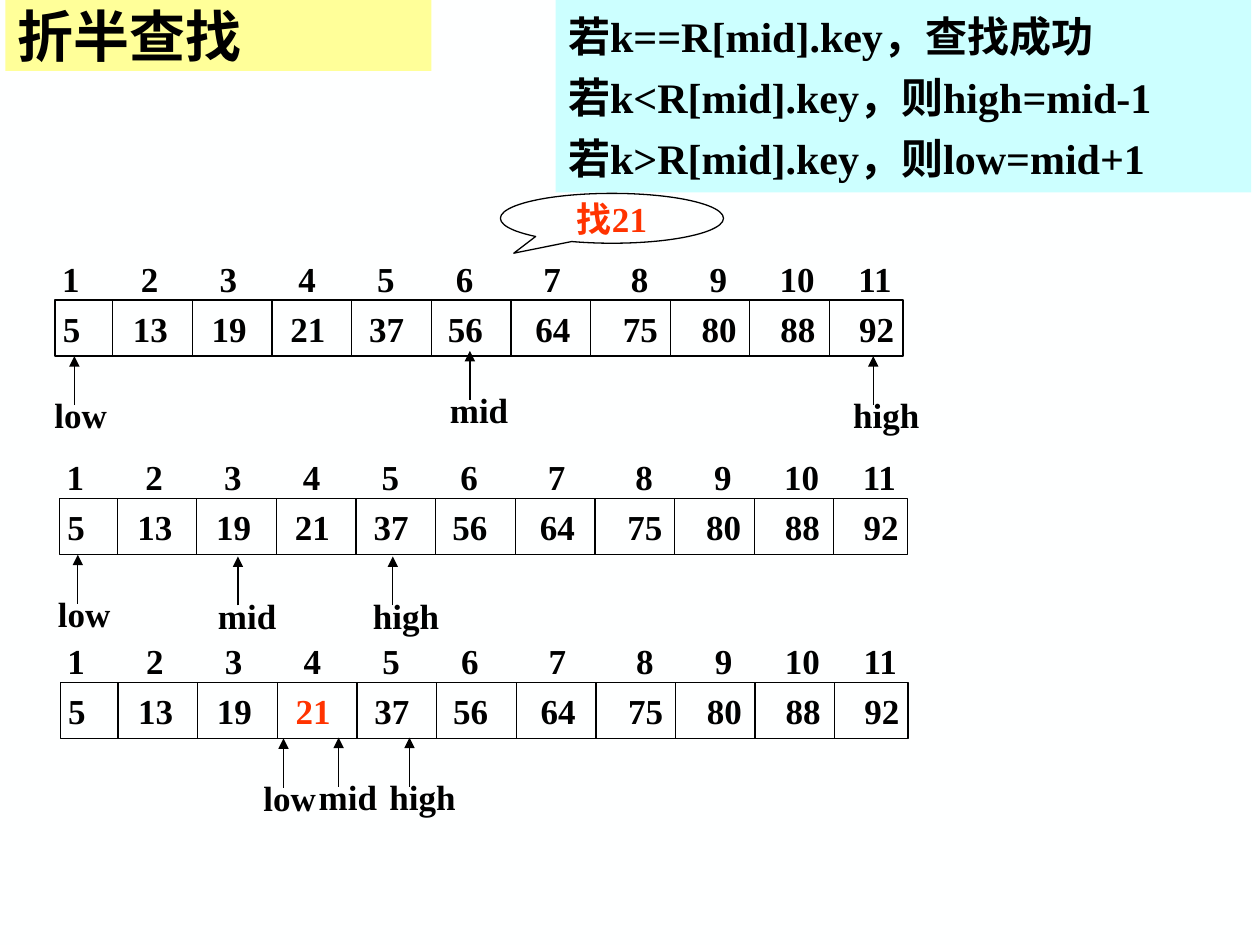
from lxml import etree
from pptx import Presentation
from pptx.dml.color import RGBColor
from pptx.enum import shapes, text
from pptx.oxml import ns
from pptx.util import Pt

BLACK = RGBColor(0x00, 0x00, 0x00)
RED = RGBColor(0xFF, 0x33, 0x00)
YELLOW = RGBColor(0xFF, 0xFF, 0x99)
CYAN = RGBColor(0xCC, 0xFF, 0xFF)
PAPER = RGBColor(0xFE, 0xFF, 0xFF)
LATIN = "Times New Roman"
CHINESE = "Noto Sans CJK SC"

VALUES = [5, 13, 19, 21, 37, 56, 64, 75, 80, 88, 92]
INDEX_TABS = [45, 90, 135, 180, 225, 275, 325, 370, 410, 455]
VALUE_TABS = [40, 85, 130, 175, 220, 270, 320, 365, 410, 455]
ROW_WIDTH, ROW_HEIGHT = 484.5, 32
FIRST_CELL, CELL = 33, 45.5

# Left and top of each row, the value found, and (label, x, drop below the row)
STEPS = [
    (31.5, 171.5, None, [("low", 42.5, 0), ("high", 499, 0), ("mid", 268.5, -3)]),
    (34, 285, None, [("low", 44.5, 0), ("high", 224.5, 1), ("mid", 136, 1)]),
    (34.5, 390, 21, [("low", 162, 0), ("high", 234, -0.5), ("mid", 193.5, -0.5)]),
]


def write(frame, paragraphs, size=20, color=BLACK, font=LATIN, gap=0, tabs=(),
          align=text.PP_ALIGN.LEFT, anchor=text.MSO_ANCHOR.MIDDLE, wrap=False,
          inset=7.2):
    """Fill a frame; each paragraph is a list of strings or (string, colour)."""
    frame.auto_size = text.MSO_AUTO_SIZE.NONE
    frame.word_wrap = wrap
    frame.vertical_anchor = anchor
    frame.margin_left = frame.margin_right = Pt(inset)
    frame.margin_top = frame.margin_bottom = Pt(3.6)
    for number, spans in enumerate(paragraphs):
        para = frame.add_paragraph() if number else frame.paragraphs[0]
        para.alignment = align
        if number:
            para.space_before = Pt(gap)
        if tabs:
            stops = etree.SubElement(para._p.get_or_add_pPr(), ns.qn("a:tabLst"))
            for stop in tabs:
                etree.SubElement(stops, ns.qn("a:tab"), pos=str(Pt(stop)), algn="l")
        for item in spans:
            words, shade = item if isinstance(item, tuple) else (item, color)
            span = para.add_run()
            span.text = words
            span.font.size = Pt(size)
            span.font.bold = True
            span.font.color.rgb = shade
            span.font.name = font
            etree.SubElement(span._r.get_or_add_rPr(), ns.qn("a:ea"), typeface=CHINESE)


def add_label(page, left, top, width, paragraphs, **style):
    box = page.shapes.add_textbox(Pt(left), Pt(top), Pt(width), Pt(ROW_HEIGHT))
    write(box.text_frame, paragraphs, anchor=text.MSO_ANCHOR.TOP, **style)


def add_box(page, kind, left, top, width, height, fill=None):
    """Add a filled box without an outline, or an outlined box without a fill."""
    box = page.shapes.add_shape(kind, Pt(left), Pt(top), Pt(width), Pt(height))
    box.shadow.inherit = False
    if fill is None:
        box.fill.background()
        box.line.color.rgb = BLACK
        box.line.width = Pt(0.75)
    else:
        box.fill.solid()
        box.fill.fore_color.rgb = fill
        box.line.fill.background()
    return box


def add_line(page, x, start, end, arrow=False):
    line = page.shapes.add_connector(
        shapes.MSO_CONNECTOR.STRAIGHT, Pt(x), Pt(start), Pt(x), Pt(end))
    line.line.color.rgb = BLACK
    line.line.width = Pt(0.75)
    if arrow:
        etree.SubElement(line.line._get_or_add_ln(), ns.qn("a:tailEnd"), type="triangle")
    etree.SubElement(line._element.spPr, ns.qn("a:effectLst"))


def tabbed(numbers, found=None):
    """Spans for numbers parted by tabs, with the found one in red."""
    return [(f"\t{number}" if place else str(number),
             RED if number == found else BLACK)
            for place, number in enumerate(numbers)]


def add_array(page, left, top, found):
    add_label(page, left - 3, top - 28, 490,
              [tabbed(range(1, len(VALUES) + 1))], tabs=INDEX_TABS)
    row = add_box(page, shapes.MSO_SHAPE.RECTANGLE, left, top, ROW_WIDTH, ROW_HEIGHT)
    write(row.text_frame, [tabbed(VALUES, found)], tabs=VALUE_TABS, wrap=True, inset=4.5)
    for place in range(len(VALUES) - 1):
        add_line(page, left + FIRST_CELL + place * CELL, top, top + ROW_HEIGHT)


def add_pointer(page, name, x, tip):
    add_line(page, x, tip + 28, tip, arrow=True)
    add_label(page, x - 18.5, tip + 18, 50, [[name]])


def add_title(page):
    title = page.shapes.title
    title.left, title.top, title.width, title.height = Pt(3), Pt(0), Pt(243.5), Pt(40.5)
    title.fill.solid()
    title.fill.fore_color.rgb = YELLOW
    write(title.text_frame, [["折半查找"]], size=32, font=CHINESE, wrap=True)


def add_rules(page):
    rules = add_box(page, shapes.MSO_SHAPE.RECTANGLE, 317.5, 0, 397.5, 110, fill=CYAN)
    write(rules.text_frame, [
        ["若k==R[mid].key，查找成功"],
        ["若k<R[mid].key，则high=mid-1"],
        ["若k>R[mid].key，则low=mid+1"],
    ], size=24, gap=6, wrap=True)


def add_callout(page):
    callout = add_box(page, shapes.MSO_SHAPE.OVAL_CALLOUT, 286, 110.5, 127.5, 28.5)
    callout.adjustments[0] = -0.44
    callout.adjustments[1] = 0.7
    write(callout.text_frame, [["找21"]], color=RED, align=text.PP_ALIGN.CENTER)


def main():
    deck = Presentation()
    deck.slide_width, deck.slide_height = Pt(720), Pt(540)
    page = deck.slides.add_slide(deck.slide_layouts[5])
    page.background.fill.solid()
    page.background.fill.fore_color.rgb = PAPER
    add_title(page)
    add_rules(page)
    add_callout(page)
    for left, top, found, pointers in STEPS:
        add_array(page, left, top, found)
        for name, x, drop in pointers:
            add_pointer(page, name, x, top + ROW_HEIGHT + drop)
    deck.save("out.pptx")


if __name__ == "__main__":
    main()
